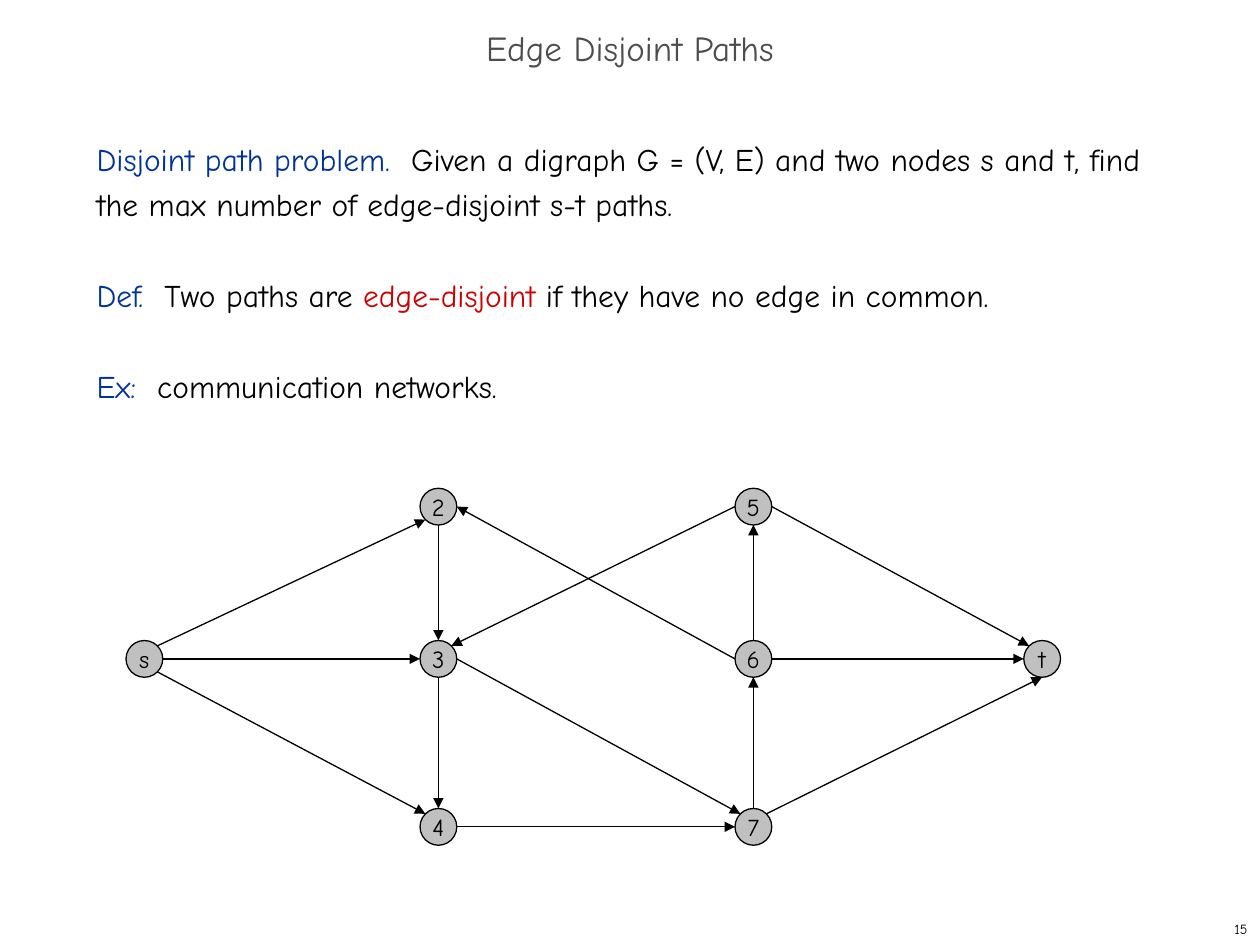
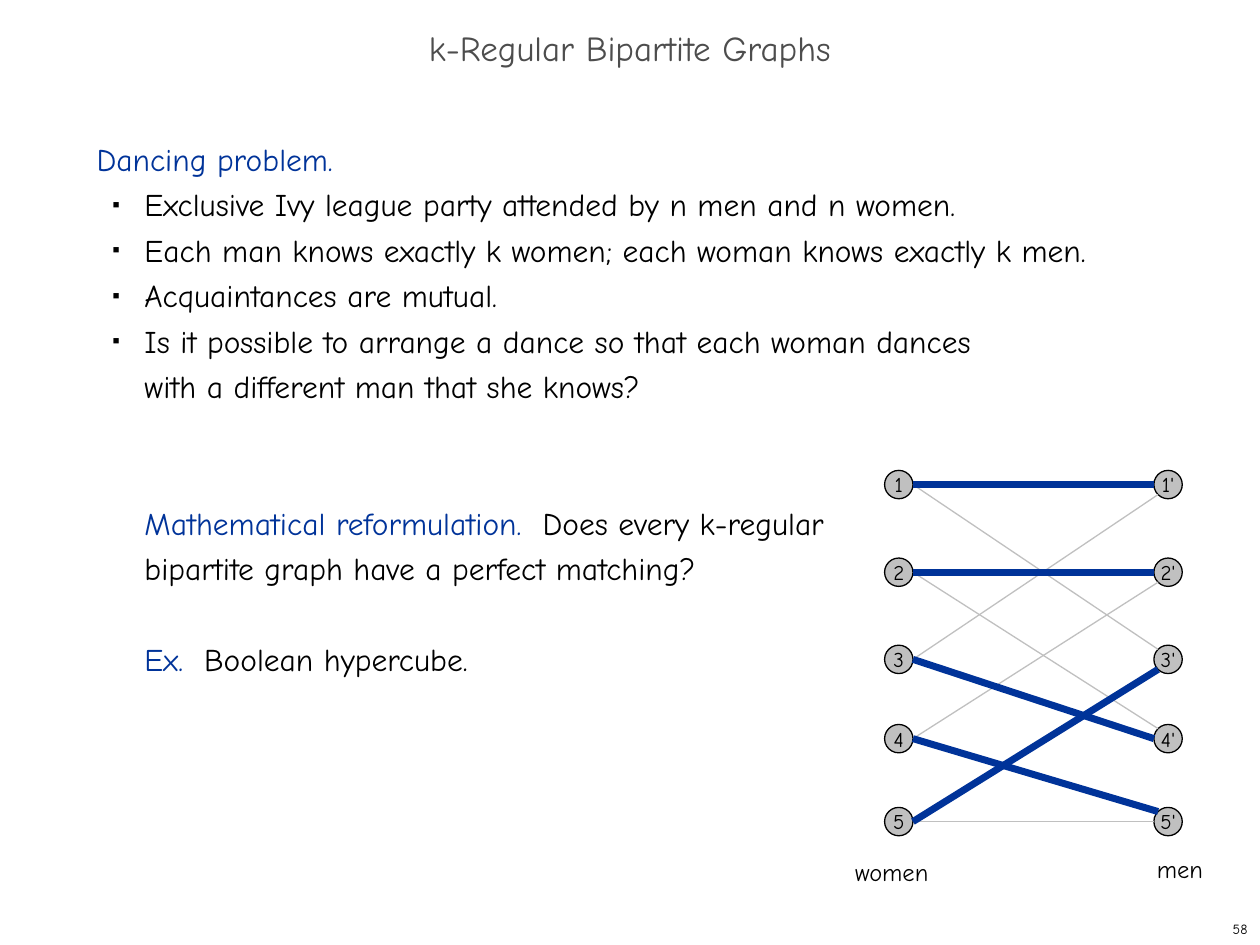
from math import sqrt
from lxml import etree
from pptx import Presentation
from pptx import util as u
from pptx.dml.color import RGBColor
from pptx.enum import shapes, text
from pptx.oxml import ns

FONT = "Comic Neue"
HUES = {"ink": "000000", "blue": "003399", "red": "CC0000",
        "gray": "C0C0C0", "title": "4D4D4D"}
WIDE, HIGH = u.Inches(10), u.Inches(7.5)
COLS, ROWS = 240, 180
LEAD = 26
DIAG = sqrt(0.5)
SIDES = {"N": (0, -1), "S": (0, 1), "E": (1, 0), "W": (-1, 0),
         "NE": (DIAG, -DIAG), "SE": (DIAG, DIAG),
         "NW": (-DIAG, -DIAG), "SW": (-DIAG, DIAG)}


def hue(name):
    return RGBColor.from_string(HUES[name])


def across(cols):
    return round(WIDE * cols / COLS)


def down(rows):
    return round(HIGH * rows / ROWS)


def area(col, row, cols, rows):
    return across(col), down(row), across(cols), down(rows)


def place(item, *cells):
    item.left, item.top, item.width, item.height = area(*cells)


def add_run(para, words, size, tint="ink"):
    for num, line in enumerate(words.split("\n")):
        if num:
            para.add_line_break()
        run = para.add_run()
        run.text = line
        run.font.name = FONT
        run.font.size = u.Pt(size)
        run.font.color.rgb = hue(tint)


def add_tag(parent, tag, **attrs):
    node = etree.SubElement(parent, ns.qn(tag))
    for key, val in attrs.items():
        node.set(key, val)
    return node


def set_indent(para, dot):
    props = para._p.get_or_add_pPr()
    props.set("marL", str(u.Inches(0.38)))
    props.set("indent", str(u.Inches(-0.25) if dot else 0))
    if dot:
        add_tag(add_tag(props, "a:buClr"), "a:srgbClr", val=HUES["ink"])
        add_tag(props, "a:buSzPct", val="35000")
        add_tag(props, "a:buFont", typeface="Arial")
        add_tag(props, "a:buChar", char="■")
    else:
        add_tag(props, "a:buNone")


def set_flush(para):
    props = para._p.get_or_add_pPr()
    props.set("marL", "0")
    props.set("indent", "0")
    add_tag(props, "a:buNone")


def add_title(slide, words):
    title = slide.shapes.title
    place(title, 0, 4, COLS, 12)
    frame = title.text_frame
    frame.auto_size = text.MSO_AUTO_SIZE.NONE
    frame.vertical_anchor = text.MSO_ANCHOR.MIDDLE
    para = frame.paragraphs[0]
    para.alignment = text.PP_ALIGN.CENTER
    para.line_spacing = 0.7
    add_run(para, words, 20, "title")


def add_body(slide, paras):
    body = slide.placeholders[1]
    place(body, 16, 24, 206, 142)
    frame = body.text_frame
    frame.auto_size = text.MSO_AUTO_SIZE.NONE
    frame.vertical_anchor = text.MSO_ANCHOR.TOP
    for num, (kind, gap, runs) in enumerate(paras):
        para = frame.add_paragraph() if num else frame.paragraphs[0]
        if kind == "flush":
            set_flush(para)
        else:
            set_indent(para, kind == "dot")
        para.line_spacing = u.Pt(LEAD)
        para.space_before = u.Pt(gap * LEAD)
        for words, tint in runs:
            add_run(para, words, 18, tint)


def add_label(slide, words, cells, size, align=text.PP_ALIGN.LEFT,
              anchor=text.MSO_ANCHOR.TOP, wrap=False):
    frame = slide.shapes.add_textbox(*area(*cells)).text_frame
    frame.word_wrap = wrap
    frame.vertical_anchor = anchor
    para = frame.paragraphs[0]
    para.alignment = align
    add_run(para, words, size)


def add_page(deck, title, paras, num):
    slide = deck.slides.add_slide(deck.slide_layouts[1])
    add_title(slide, title)
    add_body(slide, paras)
    add_label(slide, num, (190, 174, 50, 6), 8, text.PP_ALIGN.RIGHT,
              text.MSO_ANCHOR.MIDDLE, True)
    return slide


def add_node(slide, name, spot, wide, size):
    dot = slide.shapes.add_shape(shapes.MSO_SHAPE.OVAL,
                                 *area(*spot, wide, wide))
    dot.shadow.inherit = False
    dot.fill.solid()
    dot.fill.fore_color.rgb = hue("gray")
    dot.line.color.rgb = hue("ink")
    dot.line.width = u.Pt(0.75)
    frame = dot.text_frame
    frame.word_wrap = False
    frame.margin_left = frame.margin_right = 0
    frame.margin_top = frame.margin_bottom = 0
    frame.vertical_anchor = text.MSO_ANCHOR.MIDDLE
    para = frame.paragraphs[0]
    para.alignment = text.PP_ALIGN.CENTER
    add_run(para, name, size)
    return dot


def add_nodes(slide, spots, wide, size):
    return {name: add_node(slide, name, spot, wide, size)
            for name, spot in spots.items()}


def rim(dot, side):
    dx, dy = SIDES[side]
    return (round(dot.left + dot.width * (1 + dx) / 2),
            round(dot.top + dot.height * (1 + dy) / 2))


def add_edge(slide, nodes, edge, tint="ink", width=0.75, arrow=False):
    start, out, end, into = edge.split()
    line = slide.shapes.add_connector(
        shapes.MSO_CONNECTOR.STRAIGHT,
        *rim(nodes[start], out), *rim(nodes[end], into))
    line.line.color.rgb = hue(tint)
    line.line.width = u.Pt(width)
    if arrow:
        add_tag(line.line._get_or_add_ln(), "a:tailEnd", type="triangle")
    add_tag(line._element.spPr, "a:effectLst")


def add_paths(deck):
    slide = add_page(deck, "Edge Disjoint Paths", [
        ("flush", 0, [("Disjoint path problem.  ", "blue"),
                      ("Given a digraph G = (V, E) and two nodes s and t, "
                       "find the max number of edge-disjoint s-t paths.",
                       "ink")]),
        ("flush", 1, [("Def.  ", "blue"), ("Two paths are ", "ink"),
                      ("edge-disjoint", "red"),
                      (" if they have no edge in common.", "ink")]),
        ("flush", 1, [("Ex:  ", "blue"),
                      ("communication networks.", "ink")])], "15")
    rows = (93, 122, 154)
    spots = {"s": (24, rows[1]), "t": (195, rows[1])}
    for col, names in ((80, "234"), (140, "567")):
        spots.update({name: (col, row) for name, row in zip(names, rows)})
    nodes = add_nodes(slide, spots, 7, 14)
    for edge in ("s NE 2 SW", "s E 3 W", "s SE 4 NW", "2 S 3 N", "3 S 4 N",
                 "3 E 7 NW", "4 E 7 W", "7 N 6 S", "6 N 5 S", "5 E t NW",
                 "6 E t W", "7 NE t S", "6 W 2 E", "5 W 3 NE"):
        add_edge(slide, nodes, edge, arrow=True)


def add_dance(deck):
    facts = ("Exclusive Ivy league party attended by n men and n women.",
             "Each man knows exactly k women; "
             "each woman knows exactly k men.",
             "Acquaintances are mutual.",
             "Is it possible to arrange a dance so that each woman dances\n"
             "with a different man that she knows?")
    slide = add_page(deck, "k-Regular Bipartite Graphs", [
        ("flush", 0, [("Dancing problem.", "blue")]),
        *[("dot", 0, [(fact, "ink")]) for fact in facts],
        ("inset", 2, [("Mathematical reformulation.  ", "blue"),
                      ("Does every k-regular\n"
                       "bipartite graph have a perfect matching?", "ink")]),
        ("inset", 1, [("Ex.  ", "blue"),
                      ("Boolean hypercube.", "ink")])], "58")
    spots = {}
    for num, row in enumerate((89.6, 106.3, 122.9, 138, 153.8), 1):
        spots[f"{num}"] = (168.5, row)
        spots[f"{num}'"] = (219.8, row)
    nodes = add_nodes(slide, spots, 5.4, 12)
    match = ("1 E 1' W", "2 E 2' W", "3 E 4' W", "4 E 5' NW", "5 E 3' SW")
    rest = ("1 E 3' NW", "2 E 4' NW", "3 E 1' SW", "4 E 2' SW", "5 E 5' W")
    for edge in rest:
        add_edge(slide, nodes, edge, "gray")
    for edge in match:
        add_edge(slide, nodes, edge, "blue", 4)
    add_label(slide, "women", (160.5, 162, 19, 8), 14)
    add_label(slide, "men", (218, 161.5, 13.7, 8), 14)


def main():
    deck = Presentation()
    deck.slide_width, deck.slide_height = WIDE, HIGH
    add_paths(deck)
    add_dance(deck)
    deck.save("out.pptx")


if __name__ == "__main__":
    main()
